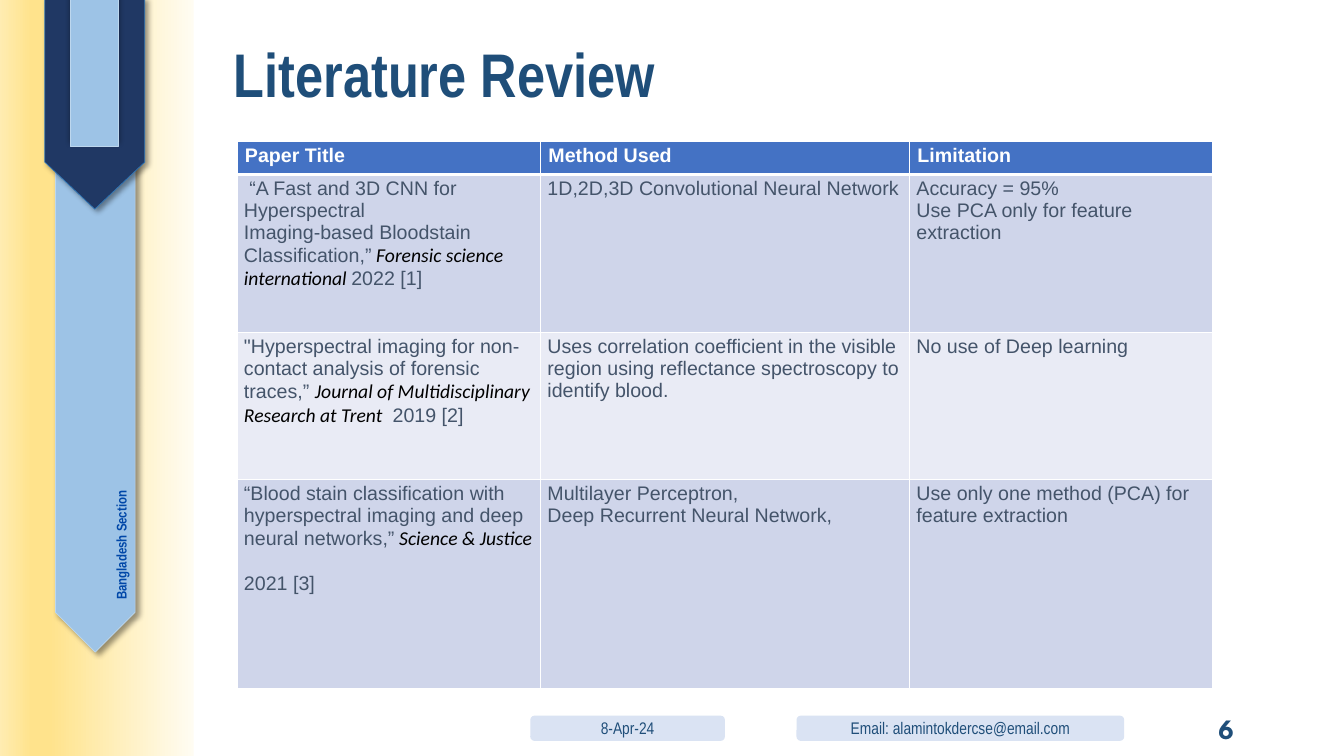
from dataclasses import dataclass

from lxml import etree
from pptx import Presentation
from pptx import util as u
from pptx.dml.color import RGBColor
from pptx.enum import shapes, text
from pptx.oxml import parse_xml
from pptx.oxml.ns import nsdecls, qn

PX = 9144  # EMU per px, 100 px to the inch

WHITE = RGBColor(0xFF, 0xFF, 0xFF)
BLACK = RGBColor(0, 0, 0)
NAVY = RGBColor(0x20, 0x38, 0x64)
SKY = RGBColor(0x9D, 0xC3, 0xE6)
SKY_EDGE = RGBColor(0xBD, 0xD7, 0xEE)
NAVY_EDGE = RGBColor(0x2E, 0x75, 0xB6)
TITLE_BLUE = RGBColor(0x1F, 0x4E, 0x79)
SECTION_BLUE = RGBColor(0x00, 0x47, 0xA8)
PILL_BLUE = RGBColor(0xDA, 0xE3, 0xF3)
HEADER_BLUE = RGBColor(0x44, 0x72, 0xC4)
BANDS = (RGBColor(0xCF, 0xD5, 0xEA), RGBColor(0xE9, 0xEB, 0xF5))
BODY_GREY = RGBColor(0x44, 0x54, 0x6A)
GOLD_STOPS = ((0, "FFFCF2"), (74, "FFE38C"), (83, "FFE38C"), (100, "FFECB2"))
NARROW = "Arial Narrow"


@dataclass(frozen=True)
class Box:
    left: int
    top: int
    width: int
    height: int

    def emu(self) -> tuple[int, ...]:
        return tuple(n * PX for n in (self.left, self.top, self.width, self.height))


@dataclass(frozen=True)
class Ribbon:
    box: Box
    point: float
    fill: RGBColor
    edge: RGBColor
    shadow_angle: int


@dataclass(frozen=True)
class Pill:
    box: Box
    label: str


@dataclass(frozen=True)
class Line:
    """One cell paragraph: plain words, a journal name, then plain words."""
    before: str
    journal: str = ""
    after: str = ""
    gap: int = 0


RIBBONS = (
    Ribbon(Box(-229, 284, 647, 79), 0.5, SKY, SKY_EDGE, 45),
    Ribbon(Box(-11, 53, 210, 99), 0.47, NAVY, NAVY_EDGE, 45),
    Ribbon(Box(20, 48, 147, 48), 0, SKY, SKY_EDGE, 270),
)
PILLS = (
    Pill(Box(526, 710, 193, 25), "8-Apr-24"),
    Pill(Box(790, 710, 325, 25), "Email: alamintokdercse@email.com"),
)
COLUMNS = (301, 366, 301)
ROWS = (33, 157, 146, 207)
PAPERS = (
    ((Line("Paper Title"),), (Line("Method Used"),), (Line("Limitation"),)),
    (
        (Line(" “A Fast and 3D CNN for Hyperspectral"),
         Line("Imaging-based Bloodstain Classification,”",
              " Forensic science international ", "2022 [1]")),
        (Line("1D,2D,3D Convolutional Neural Network"),),
        (Line("Accuracy = 95%"), Line("Use PCA only for feature extraction")),
    ),
    (
        (Line("\"Hyperspectral imaging for non-contact analysis of forensic traces,” ",
              "Journal of Multidisciplinary Research at Trent ", " 2019 [2]"),),
        (Line("Uses correlation coefficient in the visible region using "
              "reflectance spectroscopy to identify blood."),),
        (Line("No use of Deep learning"),),
    ),
    (
        (Line("“Blood stain classification with hyperspectral imaging and deep "
              "neural networks,”", " Science & Justice"),
         Line("2021 [3]", gap=16)),
        (Line("Multilayer Perceptron,"), Line("Deep Recurrent Neural Network,")),
        (Line("Use only one method (PCA) for"), Line("feature extraction")),
    ),
)


def style(font, name: str, size: int, color: RGBColor,
          bold: bool = False, italic: bool = False) -> None:
    font.name, font.size, font.bold, font.italic = name, u.Pt(size), bold, italic
    font.color.rgb = color


def write(shape, words: str, name: str, size: int, color: RGBColor,
          bold: bool = False, align=text.PP_ALIGN.LEFT):
    frame = shape.text_frame
    frame.text = words
    frame.word_wrap = True
    frame.auto_size = text.MSO_AUTO_SIZE.NONE
    frame.vertical_anchor = text.MSO_ANCHOR.MIDDLE
    line = frame.paragraphs[0]
    line.alignment = align
    style(line.runs[0].font, name, size, color, bold)
    return line


def add_shape(slide, kind, box: Box):
    shape = slide.shapes.add_shape(kind, *box.emu())
    shape.shadow.inherit = False
    shape.line.fill.background()
    return shape


def add_gold_band(slide) -> None:
    band = add_shape(slide, shapes.MSO_SHAPE.RECTANGLE, Box(-1, -2, 193, 755))
    band.fill.gradient()
    band.fill.gradient_angle = 180
    stops = band.element.spPr.find(qn("a:gradFill")).find(qn("a:gsLst"))
    for stop in list(stops):
        stops.remove(stop)
    for place, color in GOLD_STOPS:
        stop = etree.SubElement(stops, qn("a:gs"), pos=str(place * 1000))
        etree.SubElement(stop, qn("a:srgbClr"), val=color)


def add_ribbon(slide, ribbon: Ribbon) -> None:
    shape = add_shape(slide, shapes.MSO_SHAPE.PENTAGON, ribbon.box)
    shape.rotation = 90
    shape.adjustments[0] = ribbon.point
    shape.fill.solid()
    shape.fill.fore_color.rgb = ribbon.fill
    shape.line.color.rgb = ribbon.edge
    shape.line.width = u.Pt(0.5)
    shape.element.spPr.find(qn("a:effectLst")).append(parse_xml(
        f'<a:outerShdw {nsdecls("a")} blurRad="{u.Pt(4)}" dist="{u.Pt(3)}" '
        f'dir="{ribbon.shadow_angle * 60000}" algn="tl" rotWithShape="0">'
        '<a:srgbClr val="000000"><a:alpha val="40000"/></a:srgbClr></a:outerShdw>'))


def add_pill(slide, pill: Pill) -> None:
    shape = add_shape(slide, shapes.MSO_SHAPE.ROUNDED_RECTANGLE, pill.box)
    shape.fill.solid()
    shape.fill.fore_color.rgb = PILL_BLUE
    write(shape, pill.label, NARROW, 12, TITLE_BLUE, align=text.PP_ALIGN.CENTER)


def add_borders(cell, row: int) -> None:
    widths = {"L": 1, "R": 1, "T": 3 if row == 1 else 1, "B": 3 if row == 0 else 1}
    for place, (side, points) in enumerate(widths.items()):
        cell._tc.get_or_add_tcPr().insert(place, parse_xml(
            f'<a:ln{side} {nsdecls("a")} w="{u.Pt(points)}"><a:solidFill>'
            f'<a:srgbClr val="{WHITE}"/></a:solidFill></a:ln{side}>'))


def fill_cell(cell, row: int, lines: tuple[Line, ...]) -> None:
    header = row == 0
    cell.margin_left = cell.margin_right = (8 if header else 7) * PX
    cell.margin_top = cell.margin_bottom = (4 if header else 3) * PX
    cell.fill.solid()
    cell.fill.fore_color.rgb = HEADER_BLUE if header else BANDS[(row - 1) % 2]
    add_borders(cell, row)
    frame = cell.text_frame
    for number, line in enumerate(lines):
        paragraph = frame.add_paragraph() if number else frame.paragraphs[0]
        if line.gap:
            paragraph.space_before = u.Pt(line.gap)
        for words in filter(None, (line.before, line.journal, line.after)):
            run = paragraph.add_run()
            run.text = words
            if words == line.journal:
                style(run.font, "Calibri", 14, BLACK, italic=True)
            else:
                style(run.font, "Arial", 14, WHITE if header else BODY_GREY, header)


def add_review_table(slide) -> None:
    box = Box(235, 140, sum(COLUMNS), sum(ROWS))
    review = slide.shapes.add_table(len(ROWS), len(COLUMNS), *box.emu()).table
    review.horz_banding = False
    for column, width in zip(review.columns, COLUMNS):
        column.width = width * PX
    for row, height in enumerate(ROWS):
        review.rows[row].height = height * PX
        for column, lines in enumerate(PAPERS[row]):
            fill_cell(review.cell(row, column), row, lines)


def main() -> None:
    deck = Presentation()
    deck.slide_width, deck.slide_height = 1333 * PX, 750 * PX
    slide = deck.slides.add_slide(deck.slide_layouts[5])

    # Side decoration
    add_gold_band(slide)
    for ribbon in RIBBONS:
        add_ribbon(slide, ribbon)
    section = slide.shapes.add_textbox(*Box(32, 503, 176, 28).emu())
    section.rotation = 270
    write(section, "Bangladesh Section", NARROW, 10, SECTION_BLUE, bold=True)

    # Title
    title = slide.shapes.title
    title.left, title.top, title.width, title.height = Box(222, 14, 1072, 125).emu()
    heading = write(title, "Literature Review", NARROW, 44, TITLE_BLUE, bold=True)
    heading.line_spacing = 0.9

    # Reviewed papers
    add_review_table(slide)

    # Footer
    for pill in PILLS:
        add_pill(slide, pill)
    page = slide.shapes.add_textbox(*Box(934, 710, 300, 25).emu())
    write(page, "6", "League Spartan", 20, TITLE_BLUE, True, text.PP_ALIGN.RIGHT)

    deck.save("out.pptx")


if __name__ == "__main__":
    main()
